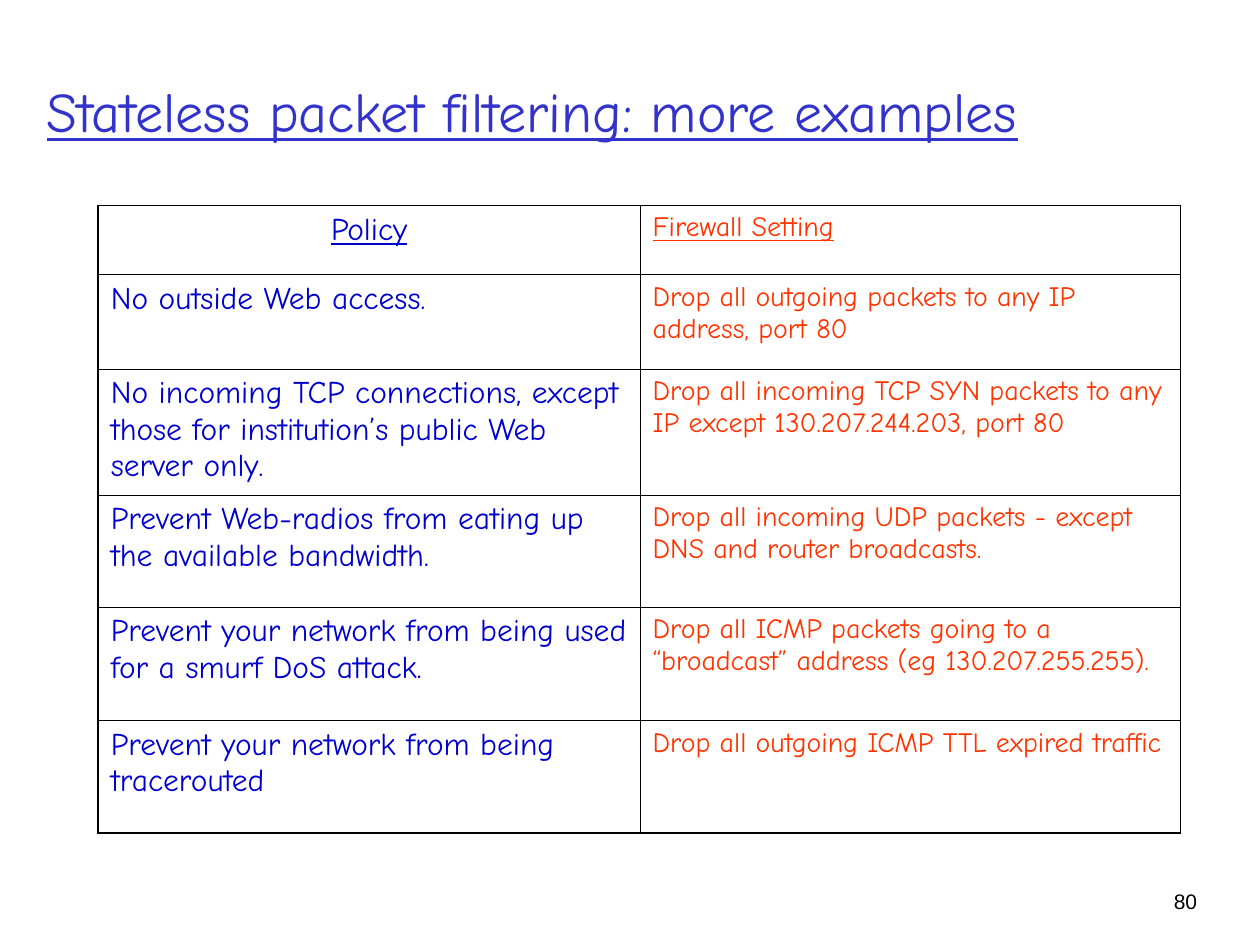
from dataclasses import dataclass

from lxml import etree
from pptx import Presentation
from pptx.dml.color import RGBColor
from pptx.enum.text import MSO_ANCHOR, PP_ALIGN
from pptx.oxml.ns import qn
from pptx.slide import Slide
from pptx.table import Table, _Cell
from pptx.text.text import TextFrame
from pptx.util import Inches, Pt

LEFT, CENTER, RIGHT = PP_ALIGN.LEFT, PP_ALIGN.CENTER, PP_ALIGN.RIGHT
TOP, MIDDLE = MSO_ANCHOR.TOP, MSO_ANCHOR.MIDDLE
TITLE_ONLY_LAYOUT = 5


@dataclass(frozen=True)
class TextStyle:
    font: str
    size: float
    color: str


@dataclass(frozen=True)
class Theme:
    title: TextStyle = TextStyle("Comic Neue", 32, "3333CC")
    policy: TextStyle = TextStyle("Comic Neue", 18, "0000CC")
    setting: TextStyle = TextStyle("Comic Neue", 16, "FF3300")
    page_number: TextStyle = TextStyle("Arial", 12, "000000")
    rule_color: str = "000000"
    outer_rule: float = 1.08
    inner_rule: float = 0.45


@dataclass(frozen=True)
class FilterRule:
    policy: str
    setting: str
    height: float


THEME = Theme()
COLUMN_WIDTHS = (4.3, 4.29)
HEADER = FilterRule("Policy", "Firewall Setting", 0.55)
FILTER_RULES = (
    FilterRule("No outside Web access.",
               "Drop all outgoing packets to any IP address, port 80", 0.75),
    FilterRule("No incoming TCP connections, except those for institution’s "
               "public Web server only.",
               "Drop all incoming TCP SYN packets to any IP except "
               "130.207.244.203, port 80", 1),
    FilterRule("Prevent Web-radios from eating up the available bandwidth.",
               "Drop all incoming UDP packets - except DNS and router "
               "broadcasts.", 0.89),
    FilterRule("Prevent your network from being used for a smurf DoS attack.",
               "Drop all ICMP packets going to a “broadcast” address "
               "(eg 130.207.255.255).", 0.9),
    FilterRule("Prevent your network from being tracerouted",
               "Drop all outgoing ICMP TTL expired traffic", 0.89),
)


def write(frame: TextFrame, text: str, style: TextStyle,
          align: PP_ALIGN = LEFT, underline: bool = False) -> None:
    frame.word_wrap = True
    paragraph = frame.paragraphs[0]
    paragraph.text = text
    paragraph.alignment = align
    paragraph.font.name = style.font
    paragraph.font.size = Pt(style.size)
    paragraph.font.color.rgb = RGBColor.from_string(style.color)
    paragraph.font.underline = underline


def set_borders(cell: _Cell, outer_sides: dict[str, bool]) -> None:
    """Rule each side of a cell, heavier on the table's outer edge."""
    properties = cell._tc.get_or_add_tcPr()
    for position, (side, is_outer) in enumerate(outer_sides.items()):
        width = THEME.outer_rule if is_outer else THEME.inner_rule
        line = etree.Element(qn(f"a:ln{side}"), w=str(Pt(width)))
        fill = etree.SubElement(line, qn("a:solidFill"))
        etree.SubElement(fill, qn("a:srgbClr"), val=THEME.rule_color)
        properties.insert(position, line)


def fill_row(table: Table, row: int, rule: FilterRule) -> None:
    is_header = row == 0
    table.rows[row].height = Inches(rule.height)
    columns = ((rule.policy, THEME.policy, CENTER if is_header else LEFT),
               (rule.setting, THEME.setting, LEFT))
    for column, (text, style, align) in enumerate(columns):
        cell = table.cell(row, column)
        cell.fill.background()
        cell.vertical_anchor = TOP
        write(cell.text_frame, text, style, align, underline=is_header)
        set_borders(cell, {
            "L": column == 0,
            "R": column == len(columns) - 1,
            "T": is_header,
            "B": row == len(table.rows) - 1,
        })


def add_filter_table(slide: Slide) -> None:
    rules = (HEADER, *FILTER_RULES)
    table = slide.shapes.add_table(
        len(rules), len(COLUMN_WIDTHS), Inches(0.78), Inches(1.63),
        Inches(sum(COLUMN_WIDTHS)),
        Inches(sum(rule.height for rule in rules))).table
    table.first_row = False
    table.horz_banding = False
    for column, width in zip(table.columns, COLUMN_WIDTHS):
        column.width = Inches(width)
    for row, rule in enumerate(rules):
        fill_row(table, row, rule)


def add_title(slide: Slide, text: str) -> None:
    title = slide.shapes.title
    title.left, title.top = Inches(0.27), Inches(0.25)
    title.width, title.height = Inches(9.16), Inches(1.25)
    title.text_frame.vertical_anchor = MIDDLE
    write(title.text_frame, text, THEME.title, underline=True)


def add_page_number(slide: Slide, number: int) -> None:
    page_number = slide.shapes.add_textbox(
        Inches(8.8), Inches(7), Inches(0.8), Inches(0.32))
    write(page_number.text_frame, str(number), THEME.page_number, RIGHT)


def main() -> None:
    presentation = Presentation()
    presentation.slide_width = Inches(10)
    presentation.slide_height = Inches(7.5)
    slide = presentation.slides.add_slide(
        presentation.slide_layouts[TITLE_ONLY_LAYOUT])
    add_title(slide, "Stateless packet filtering: more examples")
    add_filter_table(slide)
    add_page_number(slide, 80)
    presentation.save("out.pptx")


if __name__ == "__main__":
    main()
